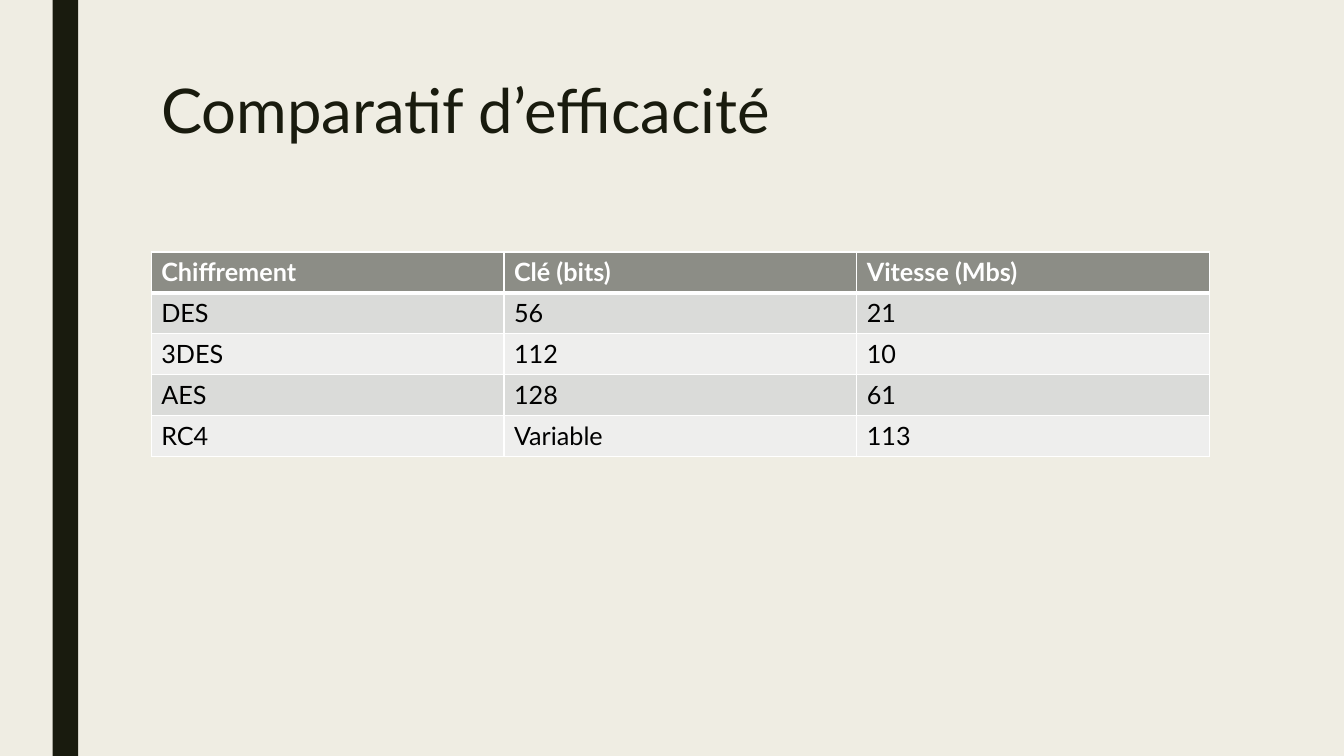
import dataclasses
import typing

import pptx
import pptx.dml.color
import pptx.enum.shapes
import pptx.enum.text
import pptx.oxml
import pptx.oxml.ns
import pptx.util

Cm = pptx.util.Cm
Pt = pptx.util.Pt

COLOURS = {
    "background": "EFEDE3",
    "dark": "191B0E",
    "header": "8C8D86",
    "band": "DADBD9",
    "light": "EEEEED",
    "white": "FFFFFF",
    "black": "000000",
}
FONT = "Lato"
LEFT, WIDTH = 3.81, 26.67
ROW_HEIGHT = 1.03


@dataclasses.dataclass(frozen=True)
class Cipher:
    name: str
    key_bits: str
    speed: str


@dataclasses.dataclass(frozen=True)
class RowStyle:
    fill: str
    text: str
    bold: bool
    top: float = 1
    bottom: float = 1


HEADINGS = Cipher("Chiffrement", "Clé (bits)", "Vitesse (Mbs)")
CIPHERS = [
    Cipher("DES", "56", "21"),
    Cipher("3DES", "112", "10"),
    Cipher("AES", "128", "61"),
    Cipher("RC4", "Variable", "113"),
]


def colour(name: str) -> pptx.dml.color.RGBColor:
    return pptx.dml.color.RGBColor.from_string(COLOURS[name])


def paint(fill: typing.Any, name: str) -> None:
    fill.solid()
    fill.fore_color.rgb = colour(name)


def format_text(para: typing.Any, size: float, name: str, bold: bool) -> None:
    formats = {"name": FONT, "size": Pt(size), "bold": bold}
    for key, value in formats.items():
        setattr(para.font, key, value)
    para.font.color.rgb = colour(name)


def row_style(index: int) -> RowStyle:
    if index == 0:
        return RowStyle("header", "white", True, bottom=3)
    fill = "band" if index % 2 else "light"
    return RowStyle(fill, "black", False, top=3 if index == 1 else 1)


def add_borders(cell: typing.Any, style: RowStyle) -> None:
    properties = cell._tc.get_or_add_tcPr()
    widths = {"lnL": 1, "lnR": 1, "lnT": style.top, "lnB": style.bottom}
    for side, width in widths.items():
        properties.append(pptx.oxml.parse_xml(
            f'<a:{side} {pptx.oxml.ns.nsdecls("a")} w="{Pt(width)}">'
            f'<a:solidFill><a:srgbClr val="{COLOURS["white"]}"/></a:solidFill>'
            f'</a:{side}>'
        ))


def add_bar(page: typing.Any, height: int) -> None:
    bar = page.shapes.add_shape(
        pptx.enum.shapes.MSO_SHAPE.RECTANGLE, Cm(1.33), 0, Cm(0.64), height)
    bar.shadow.inherit = False
    paint(bar.fill, "dark")
    bar.line.fill.background()


def set_title(page: typing.Any, text: str) -> None:
    title = page.shapes.title
    place = {"left": Cm(LEFT), "top": Cm(1.9), "width": Cm(WIDTH), "height": Cm(4.13)}
    for key, value in place.items():
        setattr(title, key, value)
    frame = title.text_frame
    frame.text = text
    settings = {
        "word_wrap": True,
        "auto_size": pptx.enum.text.MSO_AUTO_SIZE.NONE,
        "vertical_anchor": pptx.enum.text.MSO_ANCHOR.TOP,
    }
    for key, value in settings.items():
        setattr(frame, key, value)
    para = frame.paragraphs[0]
    para.alignment = pptx.enum.text.PP_ALIGN.LEFT
    para.line_spacing = 0.89
    format_text(para, 44, "dark", False)


def add_cipher_table(page: typing.Any, entries: list[Cipher]) -> None:
    columns = len(dataclasses.fields(Cipher))
    table = page.shapes.add_table(
        len(entries), columns, Cm(LEFT), Cm(6.35),
        Cm(WIDTH), Cm(ROW_HEIGHT * len(entries))).table
    for index, entry in enumerate(entries):
        style = row_style(index)
        table.rows[index].height = Cm(ROW_HEIGHT)
        for cell, text in zip(table.rows[index].cells, dataclasses.astuple(entry)):
            cell.text = text
            format_text(cell.text_frame.paragraphs[0], 18, style.text, style.bold)
            add_borders(cell, style)
            paint(cell.fill, style.fill)


def main() -> None:
    deck = pptx.Presentation()
    deck.slide_width, deck.slide_height = Cm(33.87), Cm(19.05)
    page = deck.slides.add_slide(deck.slide_layouts[5])
    paint(page.background.fill, "background")
    add_bar(page, deck.slide_height)
    set_title(page, "Comparatif d’efficacité")
    add_cipher_table(page, [HEADINGS, *CIPHERS])
    deck.save("out.pptx")


if __name__ == "__main__":
    main()
